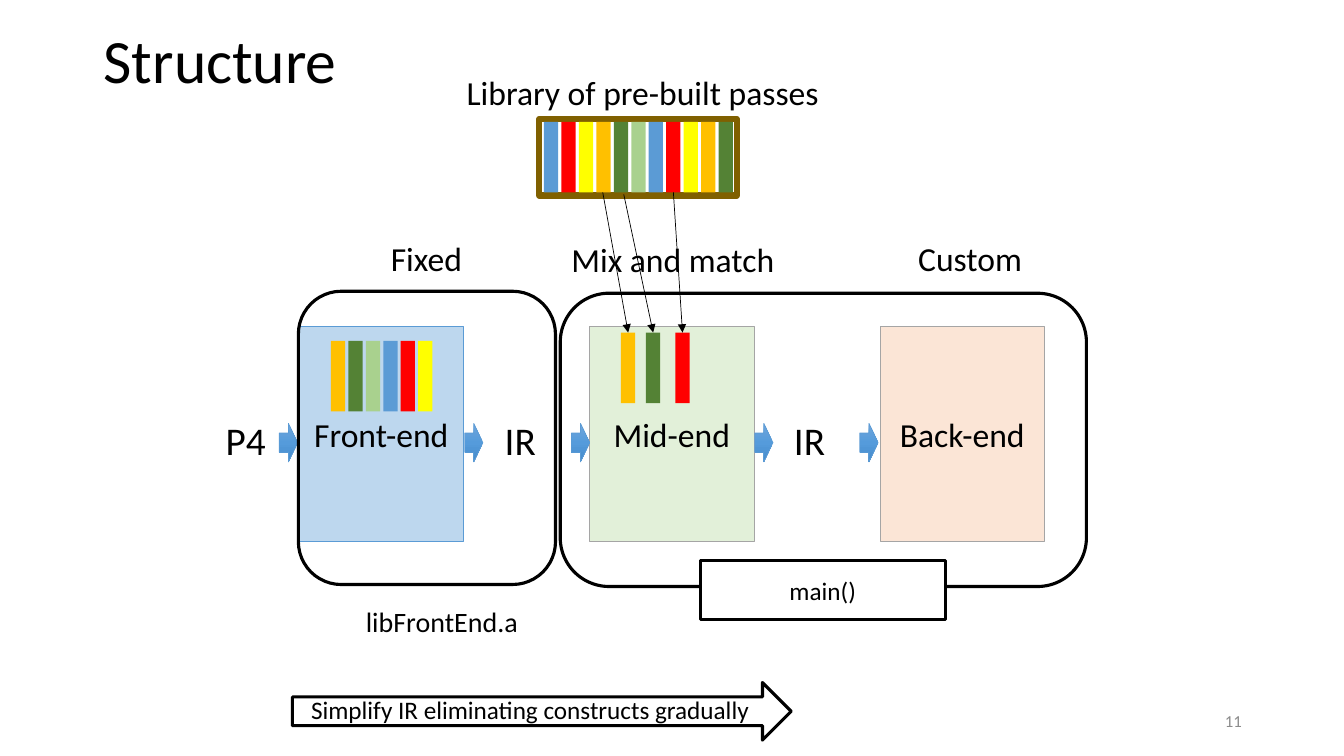
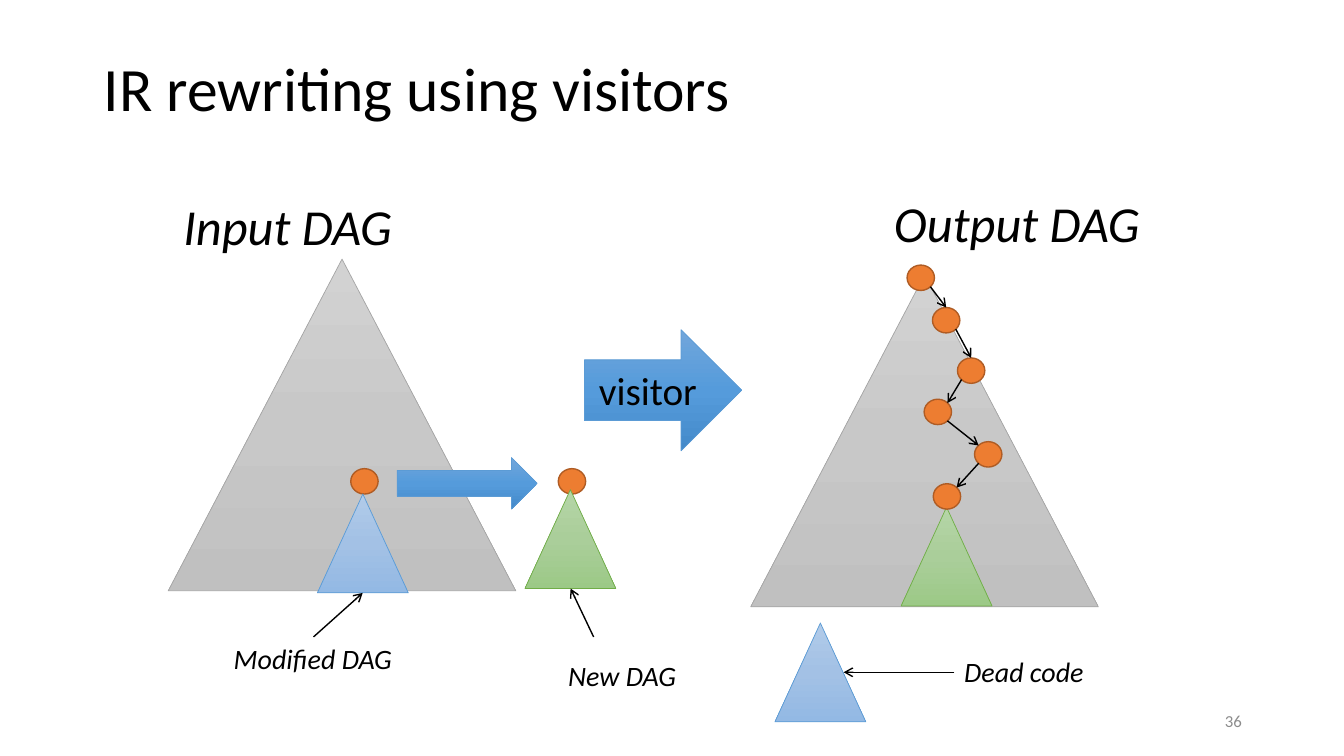
from copy import deepcopy

from pptx import Presentation
from pptx import util as u
from pptx.dml import color
from pptx.enum import shapes, text
from pptx.oxml.ns import qn

GEO = shapes.MSO_SHAPE
MID = text.MSO_ANCHOR.MIDDLE
ALIGN = text.PP_ALIGN
FIT = text.MSO_AUTO_SIZE

BLACK, WHITE, GRAY = "000000", "FFFFFF", "8C8C8C"
BLUE, RED, YELLOW, GOLD = "5B9BD5", "FF0000", "FFFF00", "FFC000"
GREEN, LIME = "548235", "A9D18E"
ORANGE, RUST, SILVER = "ED7D31", "AF5C24", "A5A5A5"

# Gradient stops from top to bottom, then the outline
SKY = (("71A6DB", "559BDB", "448ACA"), BLUE)
ICE = (("B1CBE9", "A3C1E5", "93B9E4"), BLUE)
LEAF = (("B5D5A7", "AACE9A", "9CC987"), "70AD47")
STONE = (("D2D2D2", "C8C8C8", "C0C0C0"), SILVER)


def rgb(code):
    return color.RGBColor.from_string(code)


class Deck:
    font = "Calibri"
    bar_w, bar_h, bar_gap = 0.36, 1.78, 0.44
    dot_w, dot_h = 0.69, 0.64

    def __init__(self):
        self.prs = Presentation()
        self.prs.slide_width = u.Cm(33.87)
        self.prs.slide_height = u.Cm(19.05)

    def style(self, para, words, size, tint=BLACK, italic=False, align=ALIGN.LEFT):
        para.text = words
        para.alignment = align
        font = para.font
        font.name, font.size, font.italic = self.font, u.Pt(size), italic
        font.color.rgb = rgb(tint)

    def page(self, title, number, at):
        self.slide = self.prs.slides.add_slide(self.prs.slide_layouts[5])
        head = self.slide.shapes.title
        head.left, head.top, head.width, head.height = map(u.Cm, at)
        frame = head.text_frame
        frame.auto_size, frame.vertical_anchor = FIT.NONE, MID
        self.style(frame.paragraphs[0], title, 44)
        frame.paragraphs[0].line_spacing = 0.9
        # Page number
        foot = self.slide.shapes.add_textbox(*map(u.Cm, (23.93, 17.65, 7.62, 1.02)))
        foot.text_frame.word_wrap = True
        foot.text_frame.vertical_anchor = MID
        self.style(foot.text_frame.paragraphs[0], number, 12, GRAY, align=ALIGN.RIGHT)

    def label(self, words, size, at, italic=False):
        frame = self.slide.shapes.add_textbox(*map(u.Cm, at)).text_frame
        frame.word_wrap, frame.auto_size = False, FIT.SHAPE_TO_FIT_TEXT
        self.style(frame.paragraphs[0], words, size, italic=italic)

    def shape(self, kind, at, fill=None, line=None, width=0.5, words="", size=24):
        item = self.slide.shapes.add_shape(kind, *map(u.Cm, at))
        item.shadow.inherit = False
        if fill:
            item.fill.solid()
            item.fill.fore_color.rgb = rgb(fill)
        else:
            item.fill.background()
        if line:
            item.line.color.rgb = rgb(line)
            item.line.width = u.Pt(width)
        else:
            item.line.fill.background()
        if words:
            item.text_frame.vertical_anchor = MID
            self.style(item.text_frame.paragraphs[0], words, size, align=ALIGN.CENTER)
        return item

    def shade(self, kind, at, look, words="", size=28):
        tints, line = look
        fill = self.shape(kind, at, line=line, words=words, size=size).fill
        fill.gradient()
        fill.gradient_angle = 270
        # A third stop goes between the two given ones
        first = fill.gradient_stops[0]._gs
        first.addnext(deepcopy(first))
        for i, (stop, tint) in enumerate(zip(fill.gradient_stops, tints)):
            stop.position = i / 2
            stop.color.rgb = rgb(tint)

    def bar(self, left, top, tint):
        self.shape(GEO.RECTANGLE, (left, top, self.bar_w, self.bar_h), tint)

    def bars(self, left, top, tints):
        for i, tint in enumerate(tints):
            self.bar(left + i * self.bar_gap, top, tint)

    def dot(self, left, top):
        self.shape(GEO.OVAL, (left, top, self.dot_w, self.dot_h), ORANGE, RUST, 1)

    def arrow(self, start, end, width=1, head="arrow"):
        link = self.slide.shapes.add_connector(
            shapes.MSO_CONNECTOR.STRAIGHT, *map(u.Cm, (*start, *end)))
        link.line.color.rgb = rgb(BLACK)
        link.line.width = u.Pt(width)
        line = link.line._get_or_add_ln()
        line.append(line.makeelement(qn("a:tailEnd"), {"type": head}))
        props = link._element.spPr
        props.append(props.makeelement(qn("a:effectLst"), {}))


def structure(deck):
    deck.page("Structure", "11", (2.36, 0.61, 29.21, 1.96))

    # Compiler stages and what flows between them
    stages = (("Front-end", "BDD7EE", BLUE), ("Mid-end", "E2F0D9", SILVER),
              ("Back-end", "FBE5D6", SILVER))
    for i, (name, fill, line) in enumerate(stages):
        deck.shape(GEO.RECTANGLE, (7.54 + i * 7.32, 8.23, 4.14, 5.41), fill, line, words=name)
    for name, left, width in (("P4", 5.44, 1.52), ("IR", 12.47, 1.3), ("IR", 19.76, 1.3)):
        deck.label(name, 28, (left, 10.36, width, 1.45))
    for left in (7.04, 11.71, 14.4, 19.02, 21.67):
        deck.shade(GEO.RIGHT_ARROW, (left, 10.67, 0.46, 0.97), SKY)

    # Outlines around the fixed and the open part
    for at in ((7.52, 7.34, 6.48, 7.39), (14.12, 7.39, 13.26, 7.39)):
        deck.shape(GEO.ROUNDED_RECTANGLE, at, line=BLACK, width=2.25)
    deck.label("libFrontEnd.a", 20, (8.97, 15.11, 4.39, 1.12))
    deck.shape(GEO.RECTANGLE, (17.65, 14.12, 6.17, 1.5), WHITE, BLACK, 2.25, "main()", 18)

    # Direction of work
    deck.shape(GEO.RIGHT_ARROW, (7.37, 17.2, 12.57, 1.45), WHITE, BLACK, 2.25)
    deck.label("Simplify IR eliminating constructs gradually", 18, (7.59, 17.37, 11.68, 1.02))

    # Library and the passes taken from it
    deck.shape(GEO.RECTANGLE, (13.59, 3, 4.98, 1.93), line="806000", width=4.5)
    cycle = [BLUE, RED, YELLOW, GOLD, GREEN, LIME]
    deck.bars(13.71, 3.07, cycle + cycle[:5])
    deck.bars(8.34, 8.59, cycle[3:] + cycle[:3])
    picks = ((15.65, GOLD, (15.19, 4.85)), (16.28, GREEN, (15.72, 4.9)),
             (17.02, RED, (16.97, 4.85)))
    for left, tint, start in picks:
        deck.bar(left, 8.38, tint)
        deck.arrow(start, (left + deck.bar_w / 2, 8.38), 0.5, "triangle")

    # Headings
    for name, at in (("Library of pre-built passes", (11.51, 1.7, 9.47, 1.27)),
                     ("Fixed", (9.6, 5.87, 2.34, 1.27)),
                     ("Mix and match", (14.15, 5.89, 5.66, 1.27)),
                     ("Custom", (22.89, 5.87, 3.15, 1.27))):
        deck.label(name, 24, at)


def rewriting(deck):
    deck.page("IR rewriting using visitors", "36", (2.36, 0.71, 22.86, 3.18))

    def tree(left, top, look, size=(2.29, 2.49)):
        deck.shade(GEO.ISOSCELES_TRIANGLE, (left, top, *size), look)

    # Whole graphs
    for left, top in ((4.24, 6.53), (18.92, 6.93)):
        tree(left, top, STONE, (8.76, 8.36))

    # Changed parts with their roots
    deck.dot(8.84, 11.81)
    deck.dot(14.07, 11.81)
    for left, top, look in ((22.71, 12.78, LEAF), (13.23, 12.34, LEAF),
                            (8, 12.45, ICE), (19.53, 15.7, ICE)):
        tree(left, top, look)
    deck.shade(GEO.RIGHT_ARROW, (14.73, 8.31, 3.96, 3.05), SKY, "visitor")
    deck.shade(GEO.RIGHT_ARROW, (10.01, 11.53, 3.53, 1.3), SKY)

    # Path of new nodes
    nodes = ((22.86, 6.68), (23.5, 7.75), (24.13, 9.02),
             (23.29, 10.06), (24.56, 11.13), (23.52, 12.19))
    for node in nodes:
        deck.dot(*node)

    def edge(node, side):
        # A side is the way out from the centre: (1, 1) is lower right
        (left, top), (x, y) = node, side
        far = 0.7 if x else 1
        return (left + deck.dot_w / 2 * (1 + x * far),
                top + deck.dot_h / 2 * (1 + y * far))

    sides = (((1, 1), (0, -1)), ((1, 1), (0, -1)), ((-1, 1), (1, -1)),
             ((1, 1), (-1, -1)), ((-1, 1), (1, -1)))
    for here, there, (out, into) in zip(nodes, nodes[1:], sides):
        deck.arrow(edge(here, out), edge(there, into))

    # Labels and their pointers
    for name, size, at in (("Input DAG", 36, (4.37, 4.78, 5.82, 1.8)),
                           ("Output DAG", 36, (22.28, 4.72, 6.76, 1.8)),
                           ("Modified DAG", 20, (5.64, 16.05, 4.55, 1.12)),
                           ("New DAG", 20, (14.07, 16.46, 3.25, 1.12)),
                           ("Dead code", 20, (24.05, 16.38, 3.53, 1.12))):
        deck.label(name, size, at, italic=True)
    for start, end in (((7.9, 16.05), (9.14, 14.94)), ((14.96, 16.05), (14.38, 14.83)),
                       ((24.05, 16.94), (21.26, 16.94))):
        deck.arrow(start, end)


def main():
    deck = Deck()
    structure(deck)
    rewriting(deck)
    deck.prs.save("out.pptx")


if __name__ == "__main__":
    main()
